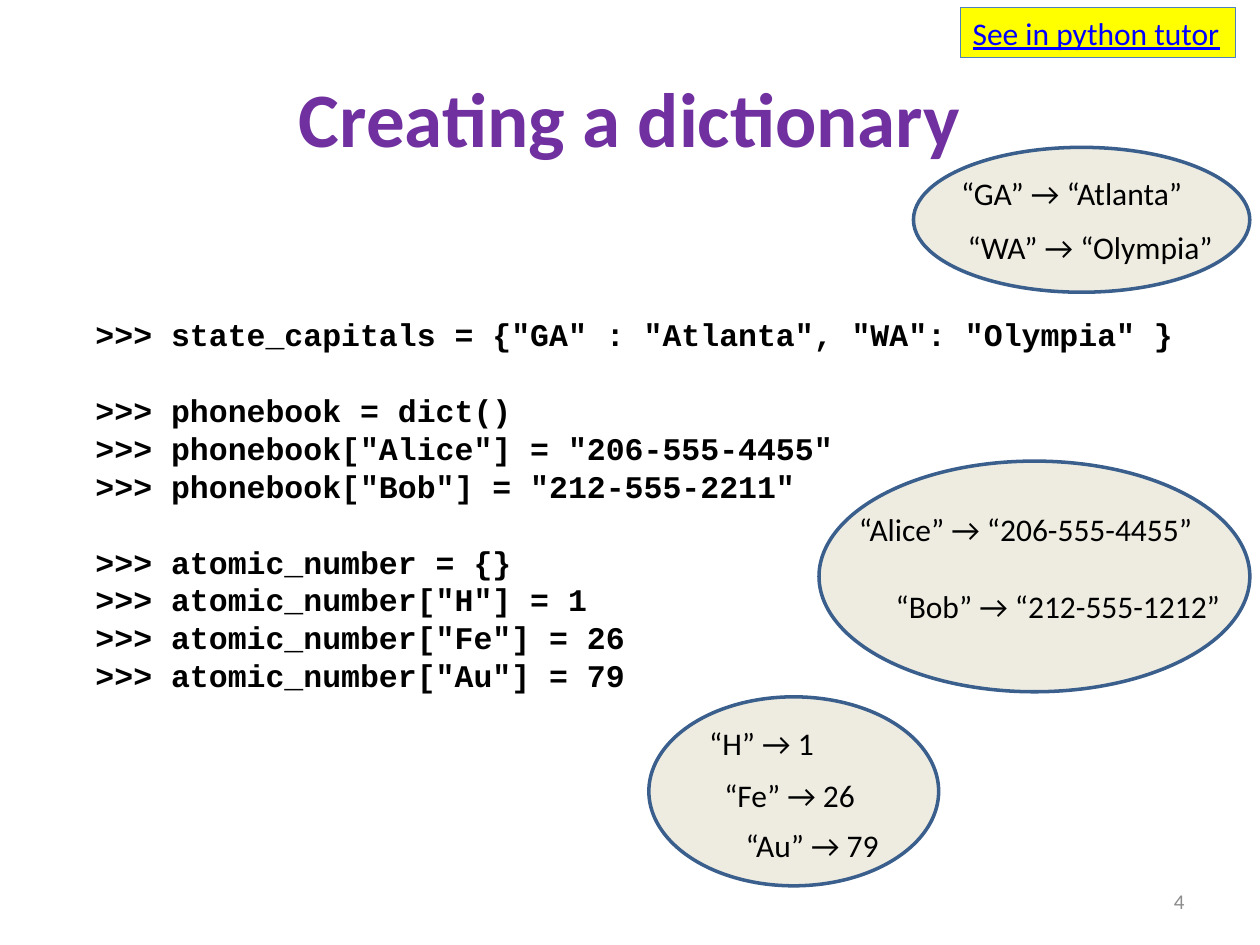
"""Build the slide "Creating a dictionary" with code and three mapping ovals."""
from pptx import Presentation
from pptx.dml.color import RGBColor
from pptx.enum.shapes import MSO_SHAPE
from pptx.enum.text import MSO_ANCHOR, PP_ALIGN
from pptx.util import Pt

LEFT, CENTER, RIGHT = PP_ALIGN.LEFT, PP_ALIGN.CENTER, PP_ALIGN.RIGHT
TOP, MIDDLE = MSO_ANCHOR.TOP, MSO_ANCHOR.MIDDLE
OVAL, RECTANGLE = MSO_SHAPE.OVAL, MSO_SHAPE.RECTANGLE
TITLE_ONLY = 5
LINE_HEIGHT = 21.65
COLORS = {
    "title": "7030A0", "text": "000000", "number": "8C8C8C", "link": "0000FF",
    "oval": "EEECE1", "oval_line": "3A5F8C", "button": "FFFF00", "button_line": "4F81BD",
}


def write_text(shape, text, size=18, font="Calibri", color="text", bold=False,
               underline=False, align=LEFT, anchor=TOP, wrap=False, line_height=None):
    frame = shape.text_frame
    frame.word_wrap = wrap
    frame.vertical_anchor = anchor
    gap = 0
    paragraph = frame.paragraphs[0]
    for index, line in enumerate(text.split("\n")):
        if not line:
            gap = line_height
            continue
        if index:
            paragraph = frame.add_paragraph()
        run = paragraph.add_run()
        run.text = line
        run.font.size = Pt(size)
        run.font.name = font
        run.font.bold = bold
        run.font.underline = underline
        run.font.color.rgb = RGBColor.from_string(COLORS[color])
        paragraph.alignment = align
        if line_height:
            paragraph.line_spacing = Pt(line_height)
        if gap:
            paragraph.space_before = Pt(gap)
        gap = 0


def add_filled(shapes, preset, box, fill, line, width):
    shape = shapes.add_shape(preset, *map(Pt, box))
    shape.shadow.inherit = False
    shape.fill.solid()
    shape.fill.fore_color.rgb = RGBColor.from_string(COLORS[fill])
    shape.line.color.rgb = RGBColor.from_string(COLORS[line])
    shape.line.width = Pt(width)
    return shape


presentation = Presentation()
presentation.slide_width, presentation.slide_height = Pt(720), Pt(540)
slide = presentation.slides.add_slide(presentation.slide_layouts[TITLE_ONLY])

title = slide.shapes.title
title.left, title.top, title.width, title.height = map(Pt, (36, 21.6, 648, 90))
write_text(title, "Creating a dictionary", size=44, color="title", bold=True,
           align=CENTER, anchor=MIDDLE, wrap=True)

code = """>>> state_capitals = {"GA" : "Atlanta", "WA": "Olympia" }

>>> phonebook = dict()
>>> phonebook["Alice"] = "206-555-4455"
>>> phonebook["Bob"] = "212-555-2211"

>>> atomic_number = {}
>>> atomic_number["H"] = 1
>>> atomic_number["Fe"] = 26
>>> atomic_number["Au"] = 79"""
code_box = slide.shapes.add_textbox(Pt(47.5), Pt(176.5), Pt(656.5), Pt(225))
write_text(code_box, code, font="Courier New", bold=True, wrap=True, line_height=LINE_HEIGHT)

mappings = [
    ((522, 84.2, 192.2, 82.8), [
        ("“GA” → “Atlanta”", 542.2, 95.8, 141.8),
        ("“WA” → “Olympia”", 545.8, 126.7, 156.2),
    ]),
    ((468, 263.5, 246.2, 131.8), [
        ("“Alice” → “206-555-4455”", 483.8, 288, 206.6),
        ("“Bob” → “212-555-1212”", 504.7, 332, 209.5),
    ]),
    ((370.8, 398.2, 165.6, 108), [
        ("“H” → 1", 398.2, 410.4, 74.9),
        ("“Fe” → 26", 406.8, 439.9, 90),
        ("“Au” → 79", 419, 468.7, 91.4),
    ]),
]
for oval_box, entries in mappings:
    group = slide.shapes.add_group_shape()
    add_filled(group.shapes, OVAL, oval_box, "oval", "oval_line", 2)
    for text, left, top, width in entries:
        entry = group.shapes.add_textbox(Pt(left), Pt(top), Pt(width), Pt(28.8))
        write_text(entry, text)

slide_number = slide.shapes.add_textbox(Pt(516), Pt(500.5), Pt(168), Pt(28.8))
write_text(slide_number, "4", size=12, color="number", align=RIGHT, anchor=MIDDLE, wrap=True)

button = add_filled(slide.shapes, RECTANGLE, (548.7, 4.3, 157.5, 28.8),
                    "button", "button_line", 0.75)
write_text(button, "See in python tutor", color="link", underline=True)

presentation.save("out.pptx")
